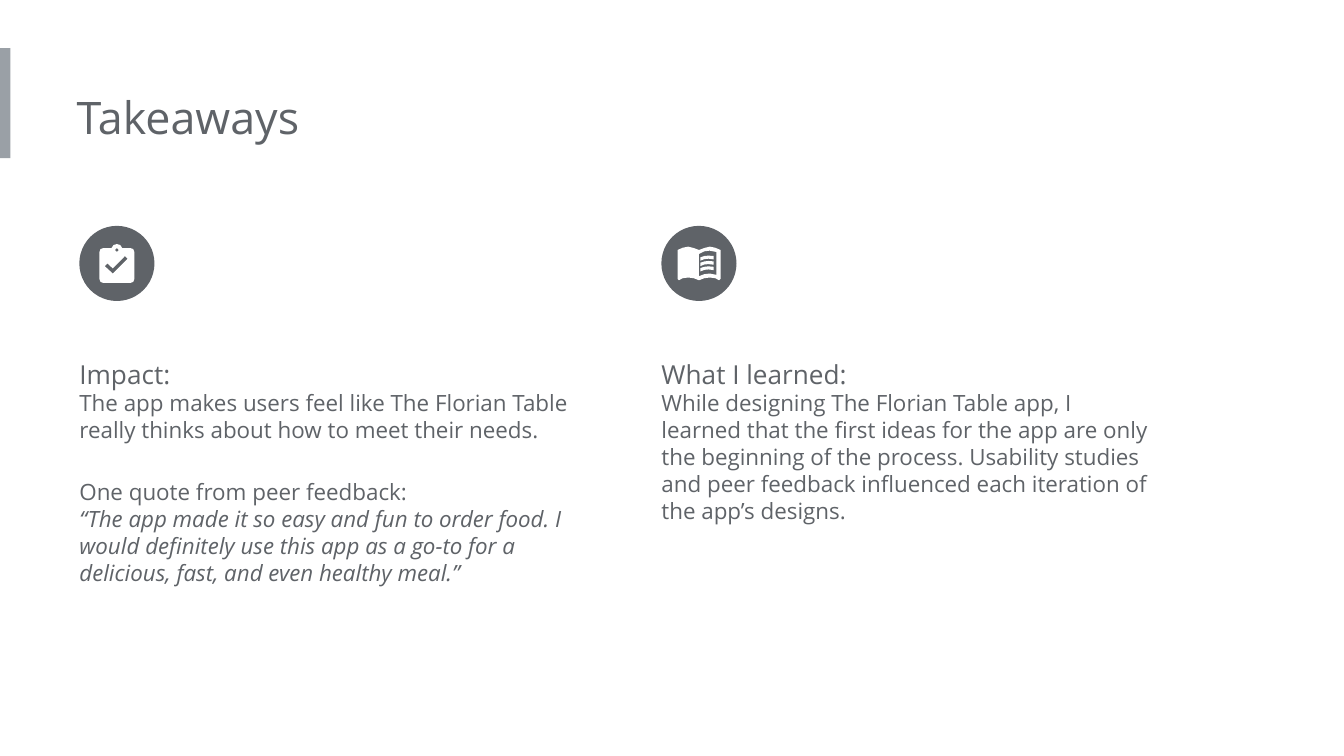
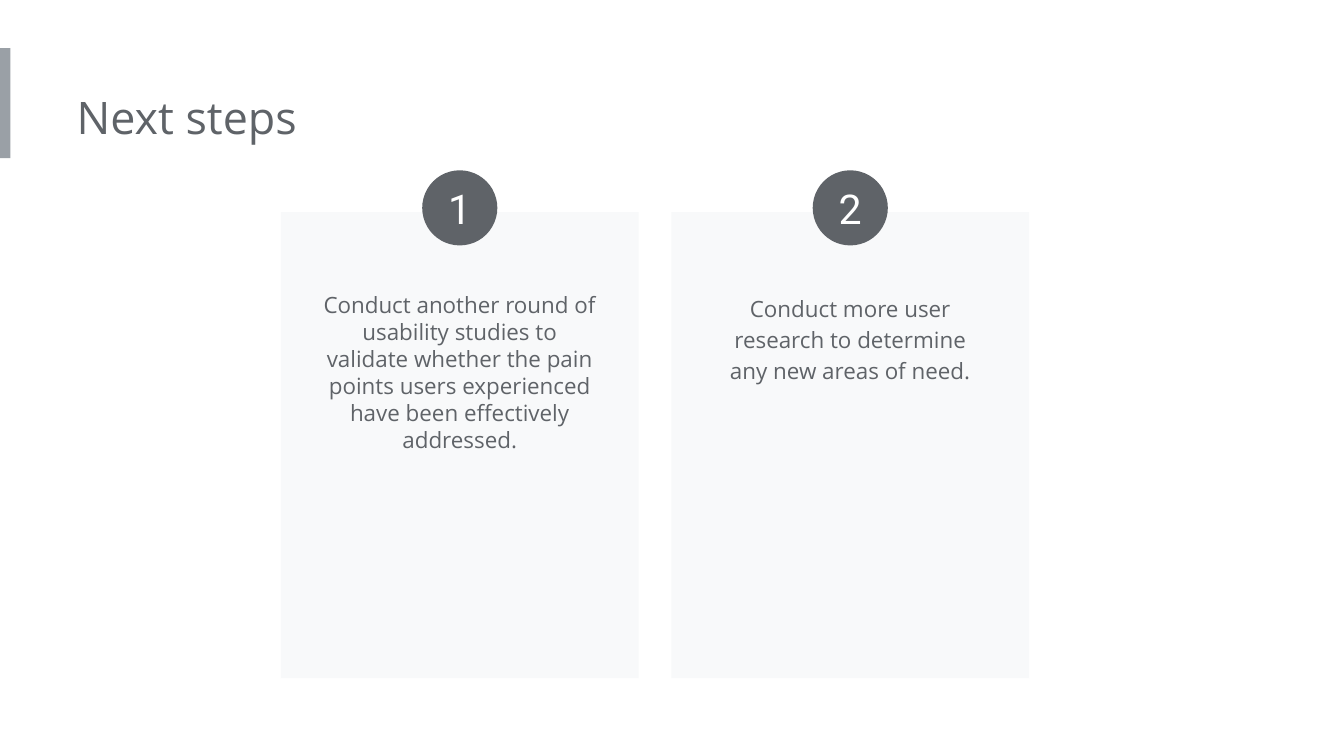
from lxml import etree
from pptx import Presentation
from pptx.dml.color import RGBColor
from pptx.enum.shapes import MSO_SHAPE
from pptx.enum.text import MSO_ANCHOR, MSO_AUTO_SIZE, PP_ALIGN
from pptx.oxml.ns import qn
from pptx.util import Cm, Pt

RECT, OVAL = MSO_SHAPE.RECTANGLE, MSO_SHAPE.OVAL
LEFT, CENTER = PP_ALIGN.LEFT, PP_ALIGN.CENTER
TOP, MIDDLE = MSO_ANCHOR.TOP, MSO_ANCHOR.MIDDLE
NO_FIT = MSO_AUTO_SIZE.NONE

GREY, BAR, PANEL, WHITE = "5F6368", "9AA0A6", "F8F9FA", "FFFFFF"
FONT, NUMBER_FONT = "Open Sans", "Roboto"
TWO_CONTENT = 3
DISC = 1.42
INSET = 0.25
ICON_UNIT = 0.0254  # cm; icon outlines are centred on (0, 0)


def mirrored(half):
    """Close a right half, listed from top to bottom, with its left half."""
    return half + [(-x, y) for x, y in reversed(half) if x]


CLIPBOARD = [
    mirrored([(0, -14.5), (2.5, -13.7), (4, -11.5), (10, -11.5), (12.2, -10.7),
              (13, -8.5), (13, 11.5), (12.2, 13.7), (10, 14.5)]),
    mirrored([(0, -11.5), (1.4, -10), (0, -8.6)]),
    [(-3, 7.5), (-9, 2), (-7, 0), (-3, 3.7), (6, -5.5), (8, -3.5)],
]
BOOK = [
    mirrored([(0, -10), (4, -11.5), (8, -12.5), (12, -11.7), (16, -10), (16, 11.5),
              (15, 12.5), (12, 11), (8, 10.5), (4, 11), (0, 12.5)]),
    [(0, -7), (4, -9), (8, -9.5), (13, -8.5), (13, 8.5), (8, 7.5), (4, 8), (0, 9.5)],
] + [
    [(x, y + 4 * line) for x, y in [(1, -4.5), (4, -5.5), (7, -5.8), (11, -5.5),
                                    (11, -3), (7, -3.5), (4, -3.2), (1, -2)]]
    for line in range(3)
]


def color(value):
    return RGBColor.from_string(value)


def paint(sp, fill):
    sp.shadow.inherit = False
    sp.fill.solid()
    sp.fill.fore_color.rgb = color(fill)
    sp.line.fill.background()


def add_block(slide, kind, x, y, w, h, fill):
    sp = slide.shapes.add_shape(kind, Cm(x), Cm(y), Cm(w), Cm(h))
    paint(sp, fill)
    return sp


def place(sp, x, y, w, h):
    sp.left, sp.top, sp.width, sp.height = Cm(x), Cm(y), Cm(w), Cm(h)


def set_frame(tf, anchor=TOP, left=0, other=INSET):
    tf.word_wrap = True
    tf.auto_size = NO_FIT
    tf.vertical_anchor = anchor
    tf.margin_left = Cm(left)
    tf.margin_top = tf.margin_right = tf.margin_bottom = Cm(other)


def write(p, text, size, font=FONT, fill=GREY, align=LEFT, spacing=1.0, before=0, italic=False):
    p.text = text
    p.alignment = align
    p.line_spacing = spacing
    p.space_before, p.space_after = Pt(before), Pt(0)
    for r in p.runs:
        r.font.size, r.font.name, r.font.italic = Pt(size), font, italic
        r.font.color.rgb = color(fill)


def remove_bullet(p):
    pPr = p._p.get_or_add_pPr()
    pPr.set("marL", "0")
    pPr.set("indent", "0")
    etree.SubElement(pPr, qn("a:buNone"))


def fill_body(body, paragraphs):
    """Write (text, size, format) entries as plain paragraphs."""
    tf = body.text_frame
    for i, (text, size, style) in enumerate(paragraphs):
        p = tf.add_paragraph() if i else tf.paragraphs[0]
        write(p, text, size, **style)
        remove_bullet(p)


def add_titled_slide(prs, title):
    slide = prs.slides.add_slide(prs.slide_layouts[TWO_CONTENT])
    add_block(slide, RECT, 0, 0.91, 0.2, 2.08, BAR)
    sp = slide.shapes.title
    place(sp, 1.45, 1.45, 13.69, 1.55)
    set_frame(sp.text_frame)
    write(sp.text_frame.paragraphs[0], title, 24)
    return slide


def add_icon(slide, contours, cx, cy):
    def tenths(points):
        return [(round(10 * x), round(10 * y)) for x, y in points]

    builder = None
    for contour in contours:
        first, *rest = tenths(contour)
        if builder is None:
            builder = slide.shapes.build_freeform(*first, scale=Cm(ICON_UNIT) / 10)
        else:
            builder.move_to(*first)
        builder.add_line_segments(rest, close=True)
    paint(builder.convert_to_shape(Cm(cx), Cm(cy)), WHITE)


def add_takeaway(slide, body, x, y, icon, paragraphs):
    add_block(slide, OVAL, x, y, DISC, DISC, GREY)
    add_icon(slide, icon, x + DISC / 2, y + DISC / 2)
    place(body, x, y + 1.95, 9.58, 5.69)
    set_frame(body.text_frame)
    fill_body(body, paragraphs)


def add_step(slide, body, x, y, w, h, number, text, spacing):
    panel = add_block(slide, RECT, x, y, w, h, PANEL)
    body._element.addprevious(panel._element)
    text_w = 5.69
    place(body, x + (w - text_w) / 2, y + 1.25, text_w, 4.78)
    set_frame(body.text_frame, left=INSET)
    fill_body(body, [(text, 12, {"align": CENTER, "spacing": spacing})])
    disc = add_block(slide, OVAL, x + (w - DISC) / 2, y - 0.79, DISC, DISC, GREY)
    set_frame(disc.text_frame, MIDDLE, other=0)
    write(disc.text_frame.paragraphs[0], str(number), 22, NUMBER_FONT, WHITE, CENTER)


def build_takeaways(prs):
    slide = add_titled_slide(prs, "Takeaways")
    heading = {"spacing": 1.5}
    columns = [
        (CLIPBOARD, [
            ("Impact:", 14, heading),
            ("The app makes users feel like The Florian Table really thinks about "
             "how to meet their needs.", 12, {}),
            ("One quote from peer feedback:", 12, {"before": 19}),
            ("“The app made it so easy and fun to order food. I would definitely use this "
             "app as a go-to for a delicious, fast, and even healthy meal.”", 12,
             {"italic": True}),
        ]),
        (BOOK, [
            ("What I learned:", 14, heading),
            ("While designing The Florian Table app, I learned that the first ideas for the "
             "app are only the beginning of the process. Usability studies and peer feedback "
             "influenced each iteration of the app’s designs.", 12, {}),
        ]),
    ]
    for i, (icon, paragraphs) in enumerate(columns):
        add_takeaway(slide, slide.placeholders[i + 1], 1.5 + 11 * i, 4.27, icon, paragraphs)


def build_next_steps(prs):
    slide = add_titled_slide(prs, "Next steps")
    steps = [
        ("Conduct another round of usability studies to validate whether the pain points "
         "users experienced have been effectively addressed.", 1.0),
        ("Conduct more user research to determine any new areas of need.", 1.15),
    ]
    for i, (text, spacing) in enumerate(steps):
        add_step(slide, slide.placeholders[i + 1], 5.31 + 7.38 * i, 4.01, 6.76, 8.81,
                 i + 1, text, spacing)


def main():
    prs = Presentation()
    prs.slide_width, prs.slide_height = Cm(25.4), Cm(14.29)
    build_takeaways(prs)
    build_next_steps(prs)
    prs.save("out.pptx")


if __name__ == "__main__":
    main()
